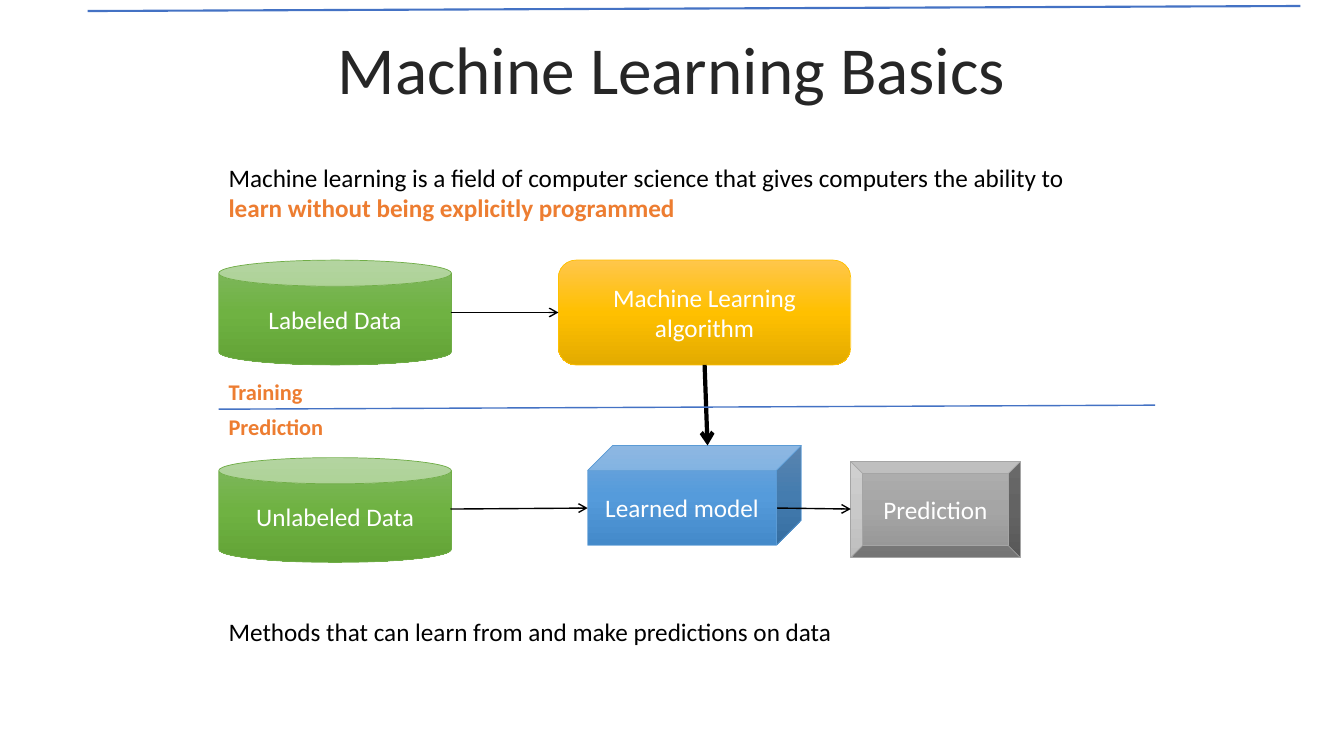
"""Build the "Machine Learning Basics" slide with its training and prediction flow."""
from copy import deepcopy

from lxml import etree
from pptx import Presentation
from pptx.dml.color import RGBColor
from pptx.enum.shapes import MSO_CONNECTOR, MSO_SHAPE
from pptx.enum.text import MSO_ANCHOR, PP_ALIGN
from pptx.oxml.ns import qn
from pptx.util import Pt

STRAIGHT = MSO_CONNECTOR.STRAIGHT
CAN, ROUNDED = MSO_SHAPE.CAN, MSO_SHAPE.ROUNDED_RECTANGLE
CUBE, BEVEL = MSO_SHAPE.CUBE, MSO_SHAPE.BEVEL
LEFT, CENTER = PP_ALIGN.LEFT, PP_ALIGN.CENTER
TOP, MIDDLE = MSO_ANCHOR.TOP, MSO_ANCHOR.MIDDLE

BLACK = RGBColor(0x00, 0x00, 0x00)
WHITE = RGBColor(0xFF, 0xFF, 0xFF)
CHARCOAL = RGBColor(0x26, 0x26, 0x26)
ORANGE = RGBColor(0xED, 0x7D, 0x31)
RULE_BLUE = RGBColor(0x44, 0x72, 0xC4)
GREEN = RGBColor(0x70, 0xAD, 0x47)
GOLD = RGBColor(0xFF, 0xC0, 0x00)
BLUE = RGBColor(0x5B, 0x9B, 0xD5)
GRAY = RGBColor(0xA5, 0xA5, 0xA5)
GREEN_FADE = (RGBColor(0x81, 0xB8, 0x61), RGBColor(0x6F, 0xB2, 0x42), RGBColor(0x62, 0xA3, 0x36))
GOLD_FADE = (RGBColor(0xFF, 0xC6, 0x4B), GOLD, RGBColor(0xE3, 0xAB, 0x00))
BLUE_FADE = (RGBColor(0x71, 0xA6, 0xDB), RGBColor(0x55, 0x9B, 0xDB), RGBColor(0x44, 0x8A, 0xCA))
GRAY_FADE = (RGBColor(0xAF, 0xAF, 0xAF), GRAY, RGBColor(0x93, 0x93, 0x93))

MARGIN = 156.2
TRAINING_TOP = 185.8
DATA_RIGHT = 321.8


def write(holder, text, size=18, color=BLACK, bold=False, align=LEFT, anchor=TOP, wrap=True):
    """Append a formatted run to the first paragraph of a shape."""
    frame = holder.text_frame
    frame.word_wrap = wrap
    frame.vertical_anchor = anchor
    paragraph = frame.paragraphs[0]
    paragraph.alignment = align
    run = paragraph.add_run()
    run.text = text
    run.font.name = "Calibri"
    run.font.size = Pt(size)
    run.font.bold = bold
    run.font.color.rgb = color


def draw_line(start, end, color, width, arrow=False):
    """Draw a straight line, optionally with an open arrowhead at its end."""
    line = slide.shapes.add_connector(STRAIGHT, *map(Pt, start + end))
    line.line.color.rgb = color
    line.line.width = Pt(width)
    properties = line._element.spPr
    if arrow:
        etree.SubElement(properties.find(qn("a:ln")), qn("a:tailEnd"), type="arrow")
    etree.SubElement(properties, qn("a:effectLst"))


prs = Presentation()
prs.slide_width, prs.slide_height = Pt(960), Pt(540)
slide = prs.slides.add_slide(prs.slide_layouts[6])

draw_line((62.6, 7.9), (928.8, 4.3), RULE_BLUE, 1.5)

definition = slide.shapes.add_textbox(Pt(MARGIN), Pt(112.3), Pt(622.1), Pt(51.1))
write(definition, "Machine learning is a field of computer science that gives computers the ability to ")
write(definition, "learn without being explicitly programmed", color=ORANGE, bold=True)

summary = slide.shapes.add_textbox(Pt(MARGIN), Pt(437), Pt(668.9), Pt(28.8))
write(summary, "Methods that can learn from and make predictions on data")

stages = [
    ("Labeled Data", CAN, (MARGIN, TRAINING_TOP, 166.3, 74.9), GREEN_FADE, GREEN),
    ("Unlabeled Data", CAN, (MARGIN, 326.9, 166.3, 74.9), GREEN_FADE, GREEN),
    ("Machine Learning algorithm", ROUNDED, (398.9, TRAINING_TOP, 208.8, 74.9), GOLD_FADE, GOLD),
    ("Learned model", CUBE, (419.8, 318.2, 152.6, 71.3), BLUE_FADE, BLUE),
    ("Prediction", BEVEL, (607.7, 329.8, 121, 68.4), GRAY_FADE, GRAY),
]
for name, outline, bounds, fade, edge in stages:
    stage = slide.shapes.add_shape(outline, *map(Pt, bounds))
    stage.shadow.inherit = False
    stage.line.color.rgb = edge
    stage.line.width = Pt(0.5)
    stage.fill.gradient()
    stage.fill.gradient_angle = 270
    stop_list = stage._element.spPr.find(qn("a:gradFill")).find(qn("a:gsLst"))
    stop_list.insert(1, deepcopy(stop_list[0]))
    for stop, position, color in zip(stage.fill.gradient_stops, (0, 0.5, 1), fade):
        stop.position = position
        stop.color.rgb = color
    write(stage, name, color=WHITE, align=CENTER, anchor=MIDDLE)

flows = [
    ((DATA_RIGHT, 223.2), (398.9, 223.2), 1),
    ((DATA_RIGHT, 363.6), (419.8, 362.9), 1),
    ((555.1, 362.9), (607.7, 363.6), 1),
    ((503.3, 260.6), (505.4, 318.2), 3),
]
for start, end, width in flows:
    draw_line(start, end, BLACK, width, arrow=True)

draw_line((MARGIN, 292.3), (825.1, 289.4), RULE_BLUE, 1)

for phase, top, width in (("Training", 266.4, 67.7), ("Prediction", 291.6, 82.8)):
    phase_label = slide.shapes.add_textbox(Pt(MARGIN), Pt(top), Pt(width), Pt(26.6))
    write(phase_label, phase, size=16, color=ORANGE, bold=True, wrap=False)

title = slide.shapes.add_textbox(Pt(163.4), Pt(14.4), Pt(632.9), Pt(67.7))
write(title, "Machine Learning Basics", size=48, color=CHARCOAL, align=CENTER, anchor=MIDDLE)

prs.save("out.pptx")
